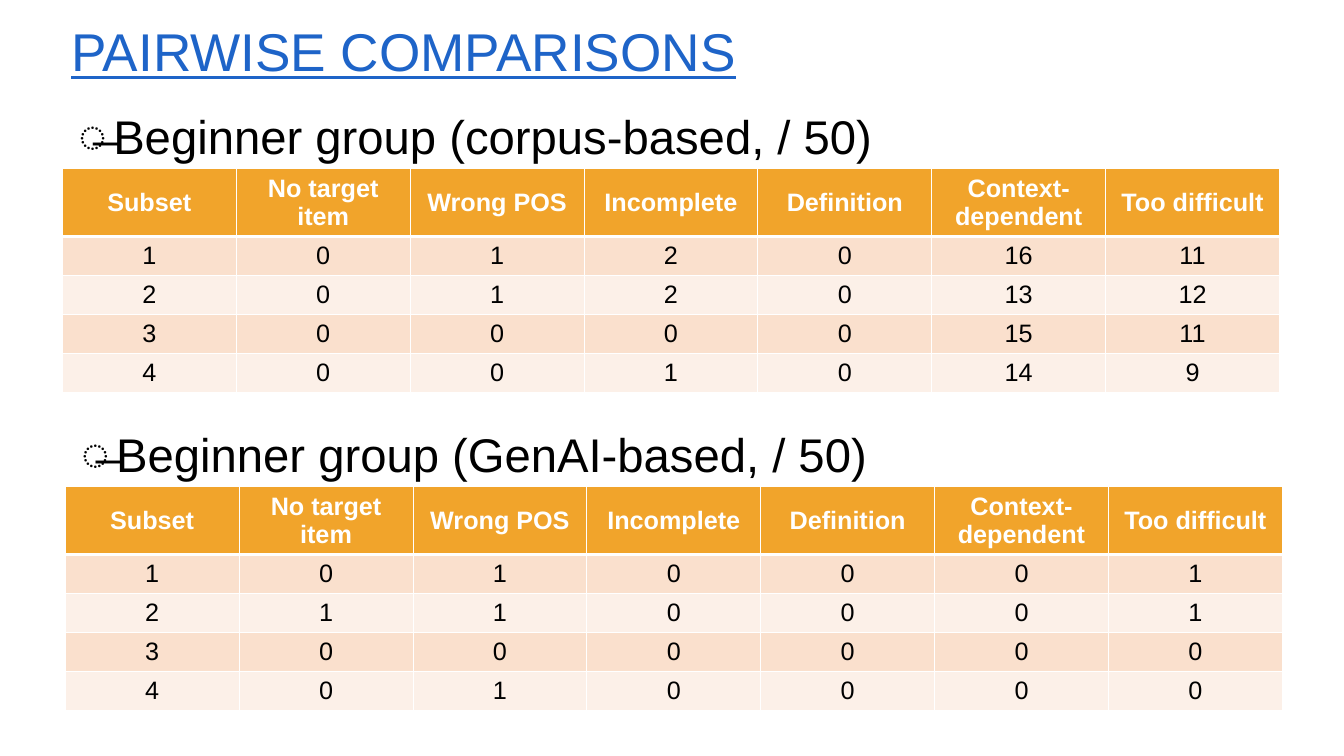
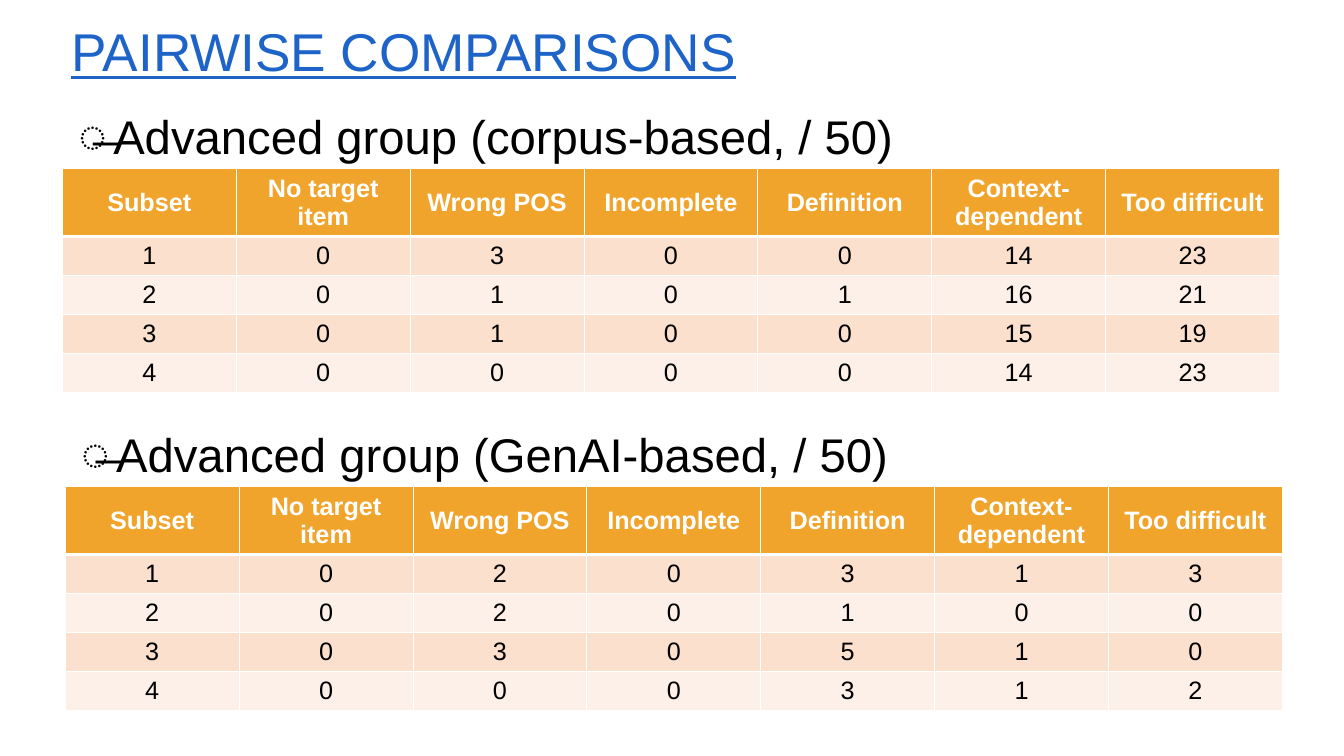
from lxml import etree
from pptx import Presentation
from pptx.dml.color import RGBColor
from pptx.enum import text as t
from pptx.oxml import ns
from pptx.util import Inches, Pt

FONT = "Arial"
HUES = {
    "title": "1E64C8",
    "ink": "000000",
    "paper": "FFFFFF",
    "head": "F1A42B",
    "odd": "FAE0CD",
    "even": "FCF0E8",
}
WIDTH = 17.17
HEAD_H, ROW_H = 0.89, 0.55
HEADS = ["Subset", "No target item", "Wrong POS", "Incomplete",
         "Definition", "Context-dependent", "Too difficult"]
SPOTS = [(0.91, 1.31), (0.95, 5.8)]

# Each row lists the counts of one subset, in the order of HEADS.
DECK = [
    [
        ("Beginner group (corpus-based, / 50)",
         [[0, 1, 2, 0, 16, 11],
          [0, 1, 2, 0, 13, 12],
          [0, 0, 0, 0, 15, 11],
          [0, 0, 1, 0, 14, 9]]),
        ("Beginner group (GenAI-based, / 50)",
         [[0, 1, 0, 0, 0, 1],
          [1, 1, 0, 0, 0, 1],
          [0, 0, 0, 0, 0, 0],
          [0, 1, 0, 0, 0, 0]]),
    ],
    [
        ("Advanced group (corpus-based, / 50)",
         [[0, 3, 0, 0, 14, 23],
          [0, 1, 0, 1, 16, 21],
          [0, 1, 0, 0, 15, 19],
          [0, 0, 0, 0, 14, 23]]),
        ("Advanced group (GenAI-based, / 50)",
         [[0, 2, 0, 3, 1, 3],
          [0, 2, 0, 1, 0, 0],
          [0, 3, 0, 5, 1, 0],
          [0, 0, 0, 3, 1, 2]]),
    ],
]


def rgb(hue):
    return RGBColor.from_string(HUES[hue])


def write(frame, words, size, hue, bold=False):
    frame.text = words
    para = frame.paragraphs[0]
    font = para.runs[0].font
    font.name, font.size, font.bold = FONT, Pt(size), bold
    font.color.rgb = rgb(hue)
    return para


def add_box(slide, left, top, width, height):
    box = slide.shapes.add_textbox(*map(Inches, (left, top, width, height)))
    box.text_frame.word_wrap = True
    return box.text_frame


def add_title(slide, words):
    frame = add_box(slide, 0.91, 0.28, WIDTH, 0.94)
    frame.vertical_anchor = t.MSO_ANCHOR.BOTTOM
    para = write(frame, words, 54, "title")
    para.line_spacing = 0.9
    para.runs[0].font.underline = True


def add_label(slide, left, top, words):
    para = write(add_box(slide, left, top, WIDTH, 1.57), words, 48, "ink")
    para.line_spacing = 1.2
    para.space_after = Pt(12)
    props = para._p.get_or_add_pPr()
    props.set("marL", str(Inches(0.59)))
    props.set("indent", str(Inches(-0.49)))
    etree.SubElement(props, ns.qn("a:buFont")).set("typeface", FONT)
    etree.SubElement(props, ns.qn("a:buChar")).set("char", "̶")


def add_edges(cell, row):
    """Draw white borders, thick between the header and the first row."""
    props = cell._tc.get_or_add_tcPr()
    widths = {"lnL": 1, "lnR": 1, "lnT": 3 if row == 1 else 1,
              "lnB": 3 if row == 0 else 1}
    for tag, width in widths.items():
        line = etree.SubElement(props, ns.qn("a:" + tag))
        line.set("w", str(Pt(width)))
        fill = etree.SubElement(line, ns.qn("a:solidFill"))
        etree.SubElement(fill, ns.qn("a:srgbClr")).set("val", HUES["paper"])


def add_grid(slide, left, top, counts):
    rows = [HEADS] + [[n, *row] for n, row in enumerate(counts, 1)]
    high = HEAD_H + ROW_H * len(counts)
    grid = slide.shapes.add_table(
        len(rows), len(HEADS), *map(Inches, (left, top, WIDTH, high))).table
    for col in grid.columns:
        col.width = Inches(WIDTH / len(HEADS))
    for r, row in enumerate(rows):
        head = r == 0
        grid.rows[r].height = Inches(HEAD_H if head else ROW_H)
        hue = "head" if head else "odd" if r % 2 else "even"
        for c, value in enumerate(row):
            cell = grid.cell(r, c)
            add_edges(cell, r)
            cell.fill.solid()
            cell.fill.fore_color.rgb = rgb(hue)
            cell.vertical_anchor = t.MSO_ANCHOR.MIDDLE
            para = write(cell.text_frame, str(value), 25.6,
                         "paper" if head else "ink", head)
            para.alignment = t.PP_ALIGN.CENTER


def add_group(slide, left, top, words, counts):
    """Place a bulleted label with its table below."""
    add_label(slide, left, top, words)
    add_grid(slide, left - 0.03, top + 1.07, counts)


def main():
    deck = Presentation()
    deck.slide_width, deck.slide_height = Inches(18.96), Inches(10.67)
    for groups in DECK:
        slide = deck.slides.add_slide(deck.slide_layouts[6])
        add_title(slide, "PAIRWISE COMPARISONS")
        for spot, group in zip(SPOTS, groups):
            add_group(slide, *spot, *group)
    deck.save("out.pptx")


if __name__ == "__main__":
    main()
